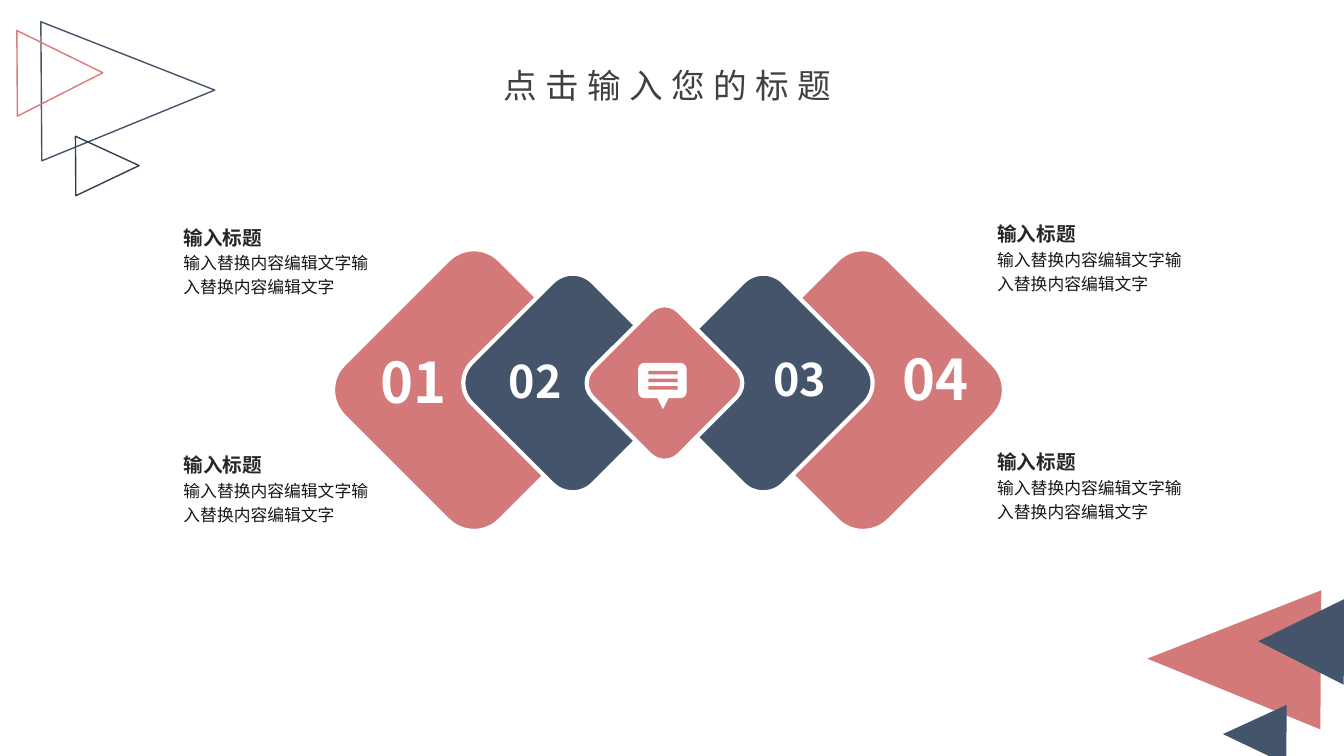
from lxml.etree import SubElement
from pptx import Presentation
from pptx.dml.color import RGBColor
from pptx.enum.shapes import MSO_SHAPE
from pptx.enum.text import MSO_ANCHOR, PP_ALIGN
from pptx.oxml.ns import qn
from pptx.util import Inches, Pt

FACE = "Noto Sans CJK SC"
HUES = {"rose": "D37979", "pink": "DD7979", "navy": "44546A", "ink": "333F50",
        "white": "FFFFFF", "snow": "FEFEFE", "title": "404040",
        "head": "262626", "body": "181717"}
FRAME = {"margin_left": 0, "margin_right": 0, "margin_top": 0,
         "margin_bottom": 0, "word_wrap": True}


def hue(name):
    """Return the named colour."""
    return RGBColor.from_string(HUES[name])


def apply(item, form):
    """Set every attribute held in a dict."""
    for key, value in form.items():
        setattr(item, key, value)


def write(para, text, size, color, bold=False):
    """Add one styled run and return it."""
    run = para.add_run()
    run.text = text
    apply(run.font, {"size": Pt(size), "bold": bold, "name": FACE})
    run.font.color.rgb = hue(color)
    SubElement(run.font._element, qn("a:ea")).set("typeface", FACE)
    return run


def draw(slide, kind, box, fill=None, line=None, width=1, turn=0):
    """Add a preset shape with plain fill and line."""
    shape = slide.shapes.add_shape(kind, *map(Inches, box))
    shape.shadow.inherit = False
    shape.rotation = turn
    if fill:
        shape.fill.solid()
        shape.fill.fore_color.rgb = hue(fill)
    else:
        shape.fill.background()
    if line:
        shape.line.color.rgb = hue(line)
        shape.line.width = Pt(width)
    else:
        shape.line.fill.background()
    return shape


def label(slide, box):
    """Add a text box without margins and return its frame."""
    frame = slide.shapes.add_textbox(*map(Inches, box)).text_frame
    apply(frame, FRAME)
    return frame


def corner(slide, x, y, turn, parts):
    """Place a cluster of triangles from a corner point."""
    for dx, dy, w, h, fill, line in parts:
        draw(slide, MSO_SHAPE.ISOSCELES_TRIANGLE, (x + dx, y + dy, w, h),
             fill, line, turn=turn)


def heading(slide, box, text):
    """Format the title placeholder."""
    title = slide.shapes.title
    apply(title, dict(zip(("left", "top", "width", "height"), map(Inches, box))))
    frame = title.text_frame
    apply(frame, FRAME | {"vertical_anchor": MSO_ANCHOR.MIDDLE})
    para = frame.paragraphs[0]
    para.alignment = PP_ALIGN.CENTER
    run = write(para, text, 24, "title")
    run.font._element.set("spc", "600")


def diamond(slide, x, y, side, fill):
    """Place a rounded diamond around a centre."""
    draw(slide, MSO_SHAPE.ROUNDED_RECTANGLE,
         (x - side / 2, y - side / 2, side, side), fill, "white", 3, 45)


def bubble(slide, x, y, w, h):
    """Place the speech icon in its box."""
    draw(slide, MSO_SHAPE.ISOSCELES_TRIANGLE,
         (x + 0.18, y + h - 0.02, 0.13, 0.13), "snow", turn=180)
    draw(slide, MSO_SHAPE.ROUNDED_RECTANGLE, (x, y, w, h), "snow")
    for row in range(3):
        draw(slide, MSO_SHAPE.RECTANGLE,
             (x + 0.1, y + 0.08 + row * 0.075, w - 0.19, 0.035), "rose")


def number(slide, x, y, text, size):
    """Centre a number on a point."""
    high = size / 60
    para = label(slide, (x - 0.5, y - high / 2, 1, high)).paragraphs[0]
    para.alignment = PP_ALIGN.CENTER
    write(para, text, size, "white", True)


def chain(slide, x, y):
    """Place the diamonds and numbers around a middle point."""
    for dx, dy, side, fill in ((1.93, 0.07, 2.19, "rose"), (-1.93, 0.07, 2.19, "rose"),
                               (-0.95, 0, 1.7, "navy"), (0.94, 0, 1.7, "navy"),
                               (-0.04, 0, 1.21, "rose")):
        diamond(slide, x + dx, y + dy, side, fill)
    bubble(slide, x - 0.3, y - 0.2, 0.48, 0.35)
    for dx, dy, text, size in ((-2.53, -0.02, "01", 40), (-1.32, -0.02, "02", 32),
                               (1.3, -0.04, "03", 32), (2.65, -0.05, "04", 40)):
        number(slide, x + dx, y + dy, text, size)


def caption(slide, x, y):
    """Place a heading with its text below."""
    frame = label(slide, (x, y, 1.97, 0.77))
    head = frame.paragraphs[0]
    body = frame.add_paragraph()
    write(head, "输入标题", 14, "head", True)
    write(body, "输入替换内容编辑文字输入替换内容编辑文字", 12, "body")
    for para in (head, body):
        apply(para, {"line_spacing": 1.2, "space_before": Pt(0)})


def main():
    """Build and save the slide."""
    deck = Presentation()
    apply(deck, {"slide_width": Inches(13.33), "slide_height": Inches(7.5)})
    slide = deck.slides.add_slide(deck.slide_layouts[5])
    corner(slide, 11.55, 5.68, 270.4,
           ((0, 0, 1.38, 1.72, "rose", None), (0.6, 1.29, 0.59, 0.63, "navy", None),
            (0.93, 0.26, 0.85, 0.85, "navy", None)))
    corner(slide, 0.17, 0.04, 89.6,
           ((0.41, 0, 1.38, 1.72, None, "navy"), (0.6, 1.29, 0.59, 0.63, None, "ink"),
            (0, 0.26, 0.85, 0.85, None, "pink")))
    heading(slide, (4.57, 0.64, 4.09, 0.4), "点击输入您的标题")
    chain(slide, 6.63, 3.8)
    for x, top in ((1.82, 2.19), (9.89, 2.16)):
        for row in range(2):
            caption(slide, x, top + row * 2.26)
    deck.save("out.pptx")


if __name__ == "__main__":
    main()
